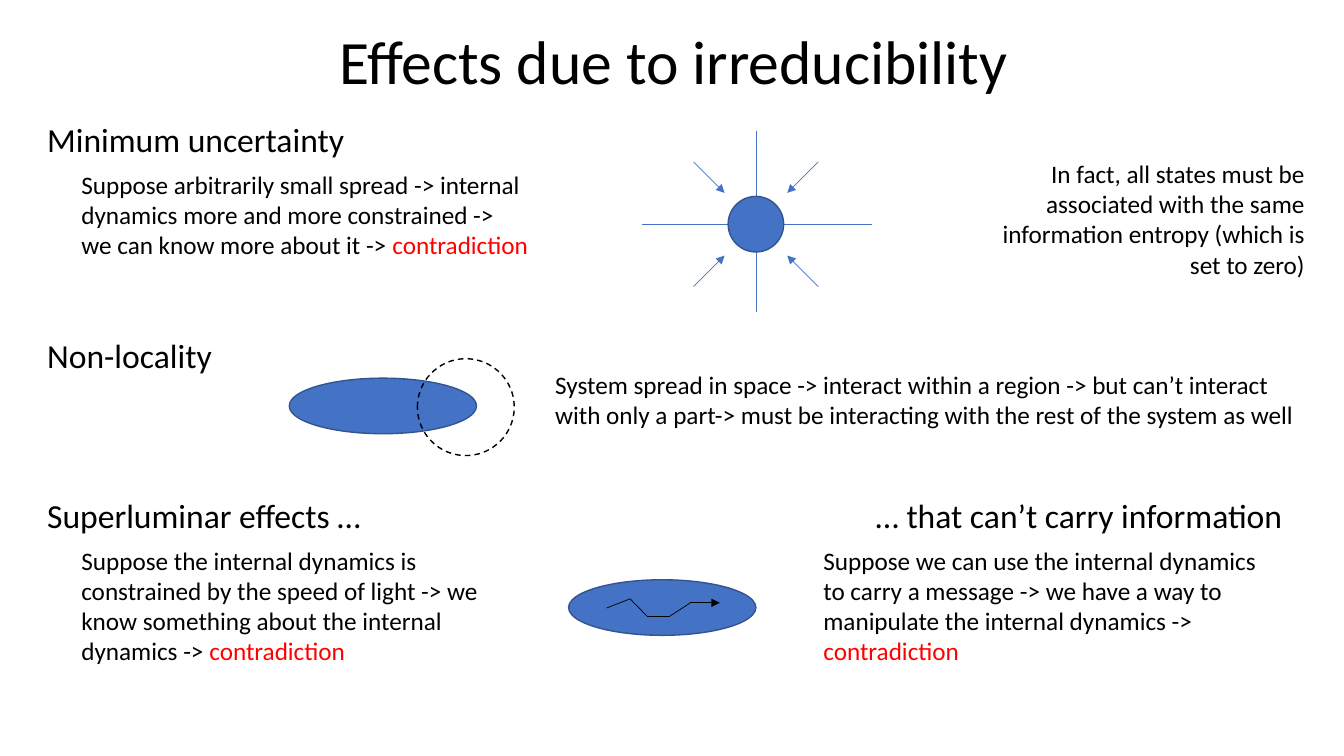
from dataclasses import dataclass
from itertools import pairwise, product

from lxml.etree import SubElement
from pptx import Presentation
from pptx.dml.color import RGBColor
from pptx.enum.dml import MSO_LINE
from pptx.enum.shapes import MSO_CONNECTOR, MSO_SHAPE
from pptx.enum.text import MSO_ANCHOR, MSO_AUTO_SIZE as AutoSize, PP_ALIGN as Align
from pptx.oxml.ns import qn
from pptx.util import Cm, Pt


@dataclass(frozen=True)
class Theme:
    font: str = "Calibri"
    ink: RGBColor = RGBColor(0x00, 0x00, 0x00)
    alert: RGBColor = RGBColor(0xFF, 0x00, 0x00)
    system: RGBColor = RGBColor(0x44, 0x72, 0xC4)
    outline: RGBColor = RGBColor(0x32, 0x54, 0x91)
    title: int = 44
    heading: int = 24
    body: int = 18
    thin: float = 0.5
    edge: float = 1


THEME = Theme()
HEADING_LEFT = 0.94
HEADING_HEIGHT = 1.27
ARGUMENT_LEFT = 1.8
ARGUMENT_SIZE = (11.8, 3.33)
SYSTEM_SIZE = (4.72, 1.4)


def write(frame, text, size=THEME.body, align=Align.LEFT, spacing=None, verdict=""):
    paragraph = frame.paragraphs[0]
    paragraph.alignment = align
    if spacing:
        paragraph.line_spacing = spacing
    for words, color in ((text, THEME.ink), (verdict, THEME.alert)):
        if words:
            run = paragraph.add_run()
            run.text = words
            run.font.name = THEME.font
            run.font.size = Pt(size)
            run.font.color.rgb = color


def add_title(slide, text):
    title = slide.shapes.title
    title.left, title.top = Cm(0.53), Cm(0.38)
    title.width, title.height = Cm(32.9), Cm(2.49)
    frame = title.text_frame
    frame.auto_size = AutoSize.NONE
    frame.vertical_anchor = MSO_ANCHOR.MIDDLE
    write(frame, text, size=THEME.title, align=Align.CENTER, spacing=0.9)


def add_text(slide, text, left, top, width, height, wrap=True, **style):
    box = slide.shapes.add_textbox(Cm(left), Cm(top), Cm(width), Cm(height))
    frame = box.text_frame
    frame.word_wrap = wrap
    frame.auto_size = AutoSize.SHAPE_TO_FIT_TEXT
    write(frame, text, **style)


def add_heading(slide, text, left, top, width):
    add_text(slide, text, left, top, width, HEADING_HEIGHT, wrap=False, size=THEME.heading)


def add_argument(slide, text, left, top):
    add_text(slide, text, left, top, *ARGUMENT_SIZE, verdict="contradiction")


def add_ellipse(shapes, left, top, width, height, fill=THEME.system, line=THEME.outline, dash=None):
    ellipse = shapes.add_shape(MSO_SHAPE.OVAL, Cm(left), Cm(top), Cm(width), Cm(height))
    ellipse.shadow.inherit = False
    if fill is None:
        ellipse.fill.background()
    else:
        ellipse.fill.solid()
        ellipse.fill.fore_color.rgb = fill
    ellipse.line.color.rgb = line
    ellipse.line.width = Pt(THEME.edge)
    if dash:
        ellipse.line.dash_style = dash


def add_line(shapes, start, end, color=THEME.system, arrow=False):
    ends = [Cm(length) for length in (*start, *end)]
    line = shapes.add_connector(MSO_CONNECTOR.STRAIGHT, *ends)
    line.line.color.rgb = color
    line.line.width = Pt(THEME.thin)
    if arrow:
        SubElement(line.line._get_or_add_ln(), qn("a:tailEnd"), type="triangle")
    SubElement(line._element.spPr, qn("a:effectLst"))


def add_squeezed_state(slide):
    x, y = 19.05, 5.65
    radius, inner, outer = 0.7, 0.79, 1.57
    shapes = slide.shapes.add_group_shape().shapes
    add_line(shapes, (x, 3.3), (x, 7.85))
    add_line(shapes, (16.18, y), (21.97, y))
    add_ellipse(shapes, x - radius, y - radius, 2 * radius, 2 * radius)
    for dx, dy in product((-1, 1), repeat=2):
        add_line(
            shapes,
            (x + dx * outer, y + dy * outer),
            (x + dx * inner, y + dy * inner),
            arrow=True,
        )


def add_partial_interaction(slide):
    add_ellipse(slide.shapes, 7.29, 9.53, *SYSTEM_SIZE)
    add_ellipse(slide.shapes, 10.52, 9.04, 2.44, 2.44, fill=None, line=THEME.ink, dash=MSO_LINE.DASH)


def add_internal_signal(slide):
    add_ellipse(slide.shapes, 14.33, 14.61, *SYSTEM_SIZE)
    signal = [(15.29, 15.32), (15.88, 15.09), (16.3, 15.52), (16.89, 15.52), (17.4, 15.19), (18.14, 15.19)]
    for start, end in pairwise(signal):
        add_line(slide.shapes, start, end, color=THEME.ink, arrow=end == signal[-1])


def main():
    deck = Presentation()
    deck.slide_width, deck.slide_height = Cm(33.87), Cm(19.05)
    slide = deck.slides.add_slide(deck.slide_layouts[5])
    add_title(slide, "Effects due to irreducibility")

    add_heading(slide, "Minimum uncertainty", HEADING_LEFT, 2.87, 8.08)
    add_argument(
        slide,
        "Suppose arbitrarily small spread -> internal dynamics more and more "
        "constrained -> we can know more about it -> ",
        ARGUMENT_LEFT, 4.14,
    )
    add_squeezed_state(slide)
    add_text(
        slide,
        "In fact, all states must be associated with the same information "
        "entropy (which is set to zero)",
        24.21, 3.86, 8.92, 3.33, align=Align.RIGHT,
    )

    add_heading(slide, "Non-locality", HEADING_LEFT, 8.31, 4.7)
    add_partial_interaction(slide)
    add_text(
        slide,
        "System spread in space -> interact within a region -> but can’t interact "
        "with only a part-> must be interacting with the rest of the system as well",
        13.74, 9.17, 19.51, 1.8,
    )

    add_heading(slide, "Superluminar effects …", HEADING_LEFT, 12.34, 8.51)
    add_argument(
        slide,
        "Suppose the internal dynamics is constrained by the speed of light -> we "
        "know something about the internal dynamics -> ",
        ARGUMENT_LEFT, 13.61,
    )
    add_internal_signal(slide)
    add_heading(slide, "… that can’t carry information", 21.82, 12.34, 10.85)
    add_argument(
        slide,
        "Suppose we can use the internal dynamics to carry a message -> we have a "
        "way to manipulate the internal dynamics -> ",
        20.5, 13.61,
    )
    deck.save("out.pptx")


if __name__ == "__main__":
    main()
